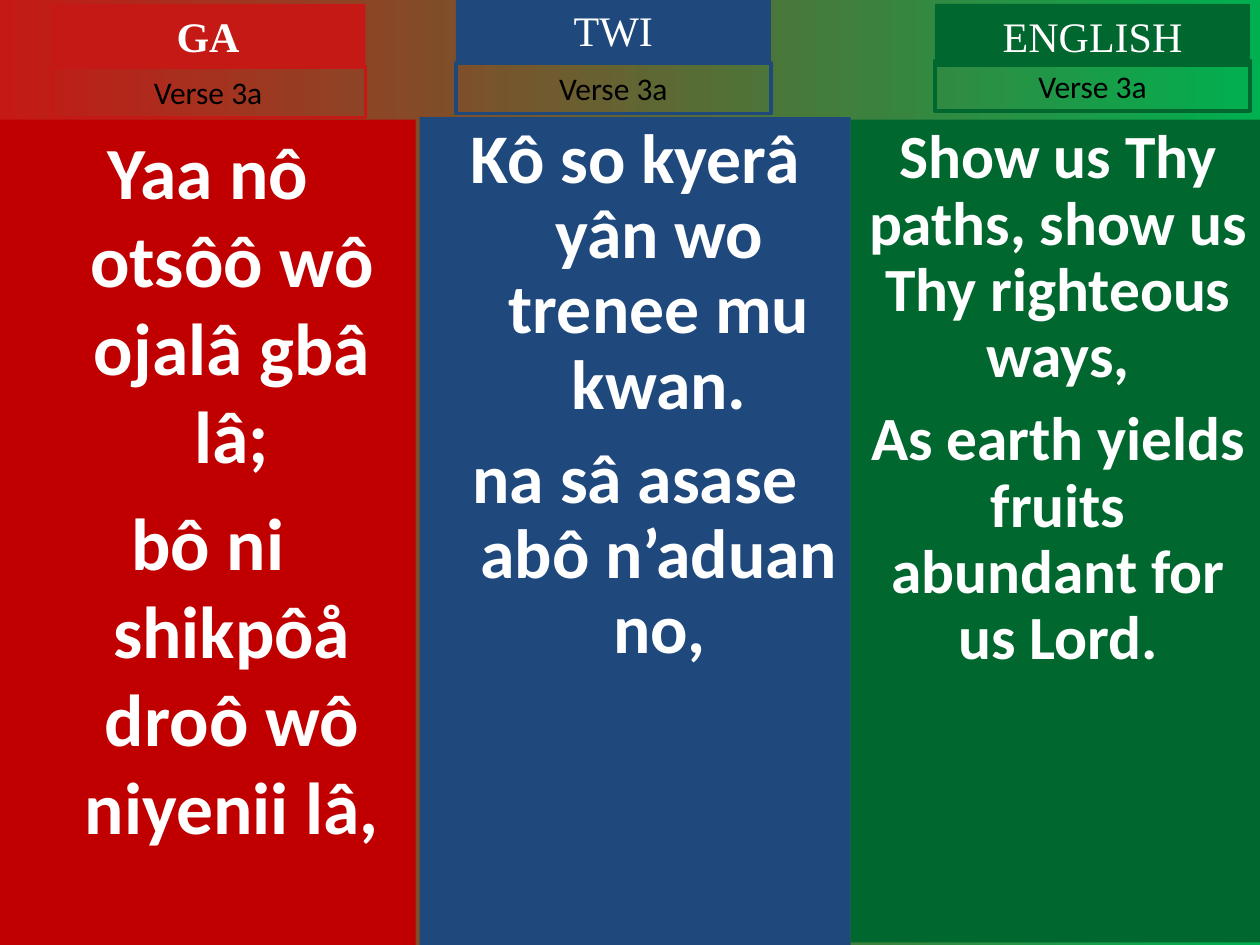
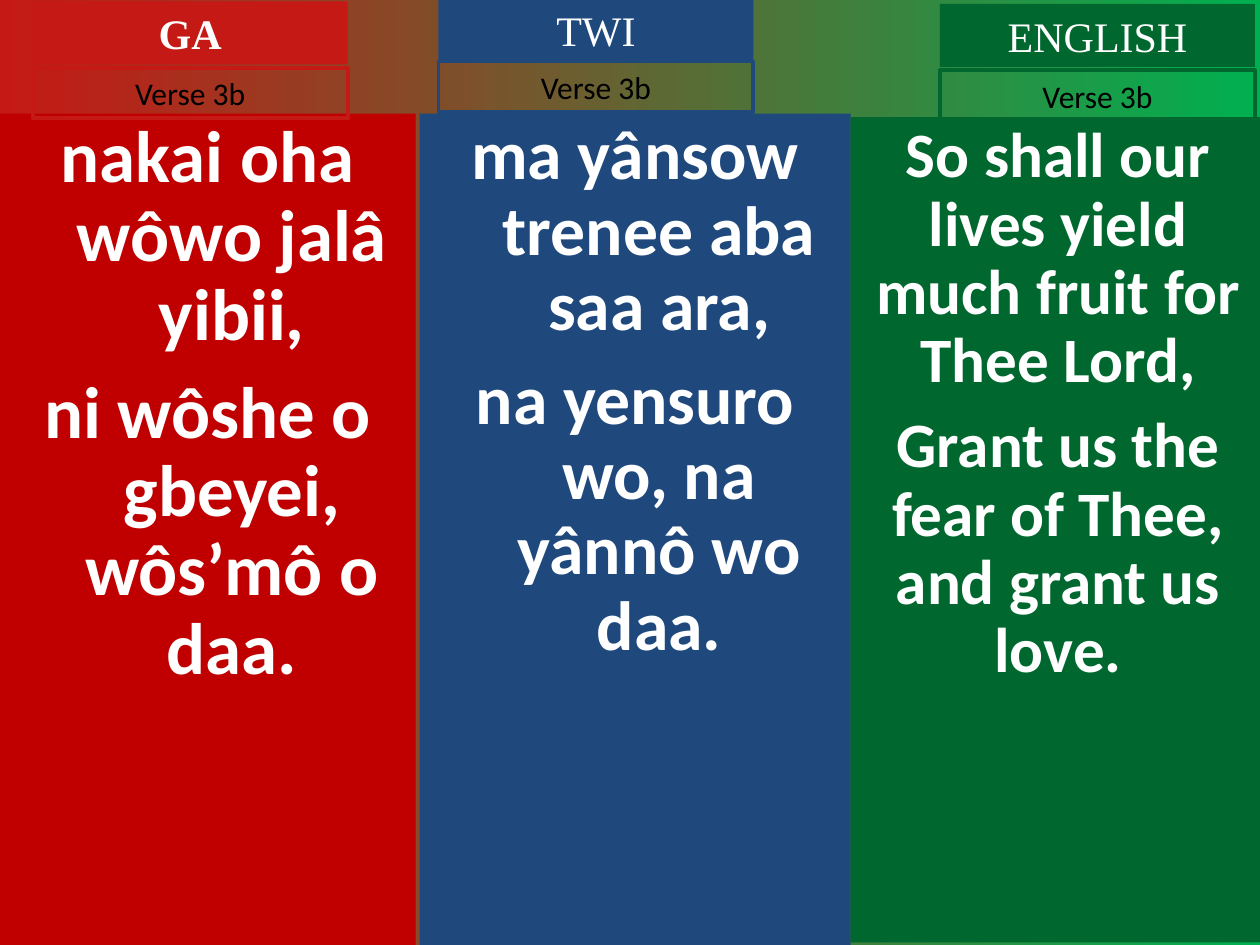
from pptx import Presentation
from pptx.dml.color import RGBColor
from pptx.enum.shapes import MSO_SHAPE
from pptx.enum.text import MSO_ANCHOR, PP_ALIGN
from pptx.util import Cm, Pt

HUES = {
    "red": "C51915", "deep": "C00000", "blue": "1F497D", "green": "00682F",
    "lime": "00B050", "white": "FFFFFF", "black": "000000",
}
TONGUES = [
    {"name": "GA", "tint": "red", "fill": "deep", "left": 0, "width": 8.38,
     "end": 19.05, "hang": 0.97, "bold": True},
    {"name": "TWI", "tint": "blue", "fill": "blue", "left": 8.46, "width": 8.69,
     "end": 19.05, "hang": 0.97, "bold": False},
    {"name": "ENGLISH", "tint": "green", "fill": "green", "left": 17.15, "width": 8.36,
     "end": 19, "hang": 0, "bold": False},
]
VERSES = [
    ("Verse 3a", [
        {"x": 1.02, "head": 0.08, "label": 1.35, "top": 2.41, "size": 42, "pitch": 1,
         "lines": ["Yaa nô otsôô wô ojalâ gbâ lâ;", "bô ni shikpôå droô wô niyenii lâ,"]},
        {"x": 9.19, "head": -0.03, "label": 1.27, "top": 2.36, "size": 39.8, "pitch": 0.9,
         "lines": ["Kô so kyerâ yân wo trenee mu kwan.", "na sâ asase abô n’aduan no,"]},
        {"x": 18.85, "head": 0.08, "label": 1.22, "top": 2.41, "size": 35.1, "pitch": 0.9,
         "lines": ["Show us Thy paths, show us Thy righteous ways,",
                   "As earth yields fruits abundant for us Lord."]},
    ]),
    ("Verse 3b", [
        {"x": 0.66, "head": 0.03, "label": 1.37, "top": 2.29, "size": 41.6, "pitch": 0.9,
         "lines": ["nakai oha wôwo jalâ yibii,", "ni wôshe o gbeyei, wôs’mô o daa."]},
        {"x": 8.84, "head": -0.03, "label": 1.24, "top": 2.29, "size": 39.8, "pitch": 0.9,
         "lines": ["ma yânsow trenee aba saa ara,", "na yensuro wo, na yânnô wo daa."]},
        {"x": 18.95, "head": 0.08, "label": 1.42, "top": 2.36, "size": 36.1, "pitch": 0.9,
         "lines": ["So shall our lives yield much fruit for Thee Lord,",
                   "Grant us the fear of Thee, and grant us love."]},
    ]),
]


def hue(name):
    return RGBColor.from_string(HUES[name])


class Deck:
    def __init__(self):
        self.file = Presentation()
        self.file.slide_width, self.file.slide_height = Cm(25.4), Cm(19.05)
        self.slide = None

    def page(self):
        self.slide = self.file.slides.add_slide(self.file.slide_layouts[6])
        fill = self.slide.background.fill
        fill.gradient()
        fill.gradient_angle = 0
        for stop, name, place in zip(fill.gradient_stops, ("red", "lime"), (0, 1)):
            stop.color.rgb = hue(name)
            stop.position = place

    def box(self, left, top, width, height, lines, fill=None, line=None):
        shape = self.slide.shapes.add_shape(
            MSO_SHAPE.RECTANGLE, Cm(left), Cm(top), Cm(width), Cm(height))
        shape.shadow.inherit = False
        if fill:
            shape.fill.solid()
            shape.fill.fore_color.rgb = hue(fill)
        else:
            shape.fill.background()
        if line:
            shape.line.color.rgb = hue(line)
            shape.line.width = Pt(2.25)
        else:
            shape.line.fill.background()
        frame = shape.text_frame
        frame.word_wrap = True
        frame.vertical_anchor = MSO_ANCHOR.TOP
        frame.text = "\n".join(lines)
        return frame

    def style(self, frame, size, font="Calibri", ink="white", bold=False):
        for para in frame.paragraphs:
            para.alignment = PP_ALIGN.CENTER
            for run in para.runs:
                run.font.size = Pt(size)
                run.font.name = font
                run.font.bold = bold
                run.font.color.rgb = hue(ink)

    def column(self, tongue, part):
        frame = self.box(tongue["left"], part["top"], tongue["width"],
                         tongue["end"] - part["top"], part["lines"], fill=tongue["fill"])
        self.style(frame, part["size"], bold=True)
        gap = 0.25 if part["pitch"] == 1 else 0.27
        for rank, para in enumerate(frame.paragraphs):
            para.line_spacing = part["pitch"]
            if rank:
                para.space_before = Pt(round(part["size"] * gap, 1))
            if tongue["hang"]:
                props = para._p.get_or_add_pPr()
                props.set("marL", str(Cm(tongue["hang"])))
                props.set("indent", str(-Cm(tongue["hang"])))

    def title(self, tongue, part):
        frame = self.box(part["x"], part["head"], 6.35, 1.27, [tongue["name"]],
                         fill=tongue["tint"])
        self.style(frame, 24, "Times New Roman", bold=tongue["bold"])

    def label(self, tongue, part, verse):
        frame = self.box(part["x"], part["label"], 6.35, 1.02, [verse], line=tongue["tint"])
        self.style(frame, 18, ink="black")


def main():
    deck = Deck()
    for verse, parts in VERSES:
        deck.page()
        for tongue, part in zip(TONGUES, parts):
            deck.column(tongue, part)
            deck.title(tongue, part)
            deck.label(tongue, part, verse)
    deck.file.save("out.pptx")


if __name__ == "__main__":
    main()
